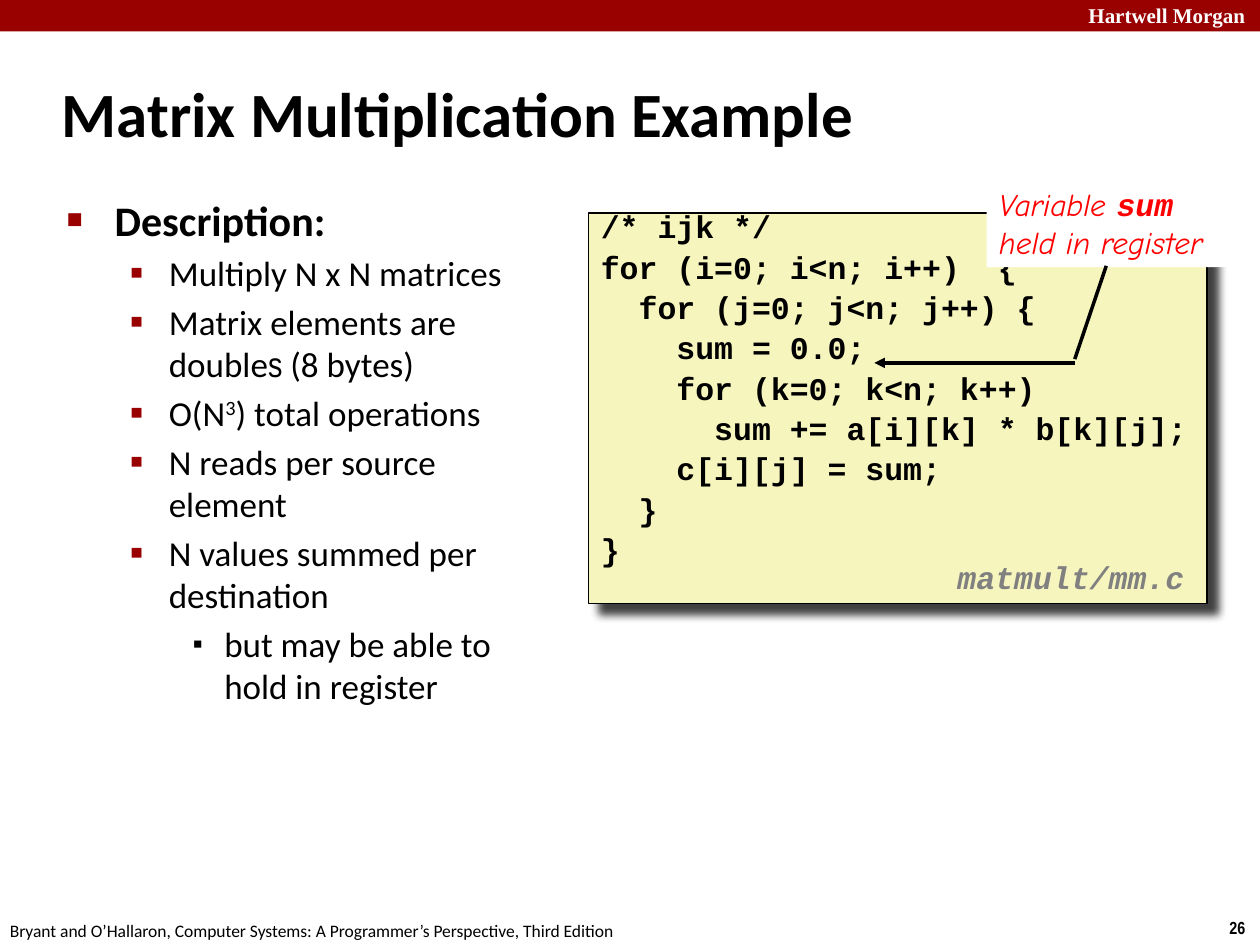
from dataclasses import dataclass, replace
from typing import Optional

from lxml.etree import SubElement
from pptx import Presentation
from pptx.dml.color import RGBColor
from pptx.enum.shapes import MSO_CONNECTOR as Connector, MSO_SHAPE as Preset
from pptx.enum.text import MSO_ANCHOR as Anchor, MSO_AUTO_SIZE as AutoSize, PP_ALIGN as Align
from pptx.oxml.ns import qn
from pptx.util import Inches, Pt

COLUMNS, ROWS = 100, 75
WIDTH, HEIGHT = Inches(10), Inches(7.5)
CRIMSON, BLACK, WHITE = "990000", "000000", "FFFFFF"


@dataclass(frozen=True)
class Area:
    column: float
    row: float
    columns: float
    rows: float

    def emu(self) -> tuple:
        return x(self.column), y(self.row), x(self.columns), y(self.rows)


@dataclass(frozen=True)
class Style:
    face: str
    size: float
    color: str = BLACK
    bold: bool = False
    italic: bool = False


@dataclass(frozen=True)
class Level:
    margin: float
    hanging: float
    glyph: str
    percent: int
    style: Style
    bullet_color: Optional[str] = CRIMSON


@dataclass(frozen=True)
class Part:
    text: str
    face: Optional[str] = None
    baseline: int = 0


def x(columns: float) -> int:
    return round(WIDTH * columns / COLUMNS)


def y(rows: float) -> int:
    return round(HEIGHT * rows / ROWS)


def paint(color_format, color: str) -> None:
    color_format.rgb = RGBColor.from_string(color)


def apply_style(font, style: Style) -> None:
    font.name, font.size = style.face, Pt(style.size)
    font.bold, font.italic = style.bold, style.italic
    paint(font.color, style.color)


def place(holder, area: Area) -> None:
    holder.left, holder.top, holder.width, holder.height = area.emu()
    holder.text_frame.auto_size = AutoSize.NONE


def add_label(slide, area: Area, text: str, style: Style):
    label = slide.shapes.add_textbox(*area.emu())
    label.text_frame.word_wrap = False
    paragraph = label.text_frame.paragraphs[0]
    paragraph.text = text
    apply_style(paragraph.font, style)
    return paragraph


def add_panel(slide, area: Area, fill: str):
    panel = slide.shapes.add_shape(Preset.RECTANGLE, *area.emu())
    panel.shadow.inherit = False
    panel.fill.solid()
    paint(panel.fill.fore_color, fill)
    panel.line.fill.background()
    panel.text_frame.vertical_anchor = Anchor.TOP
    return panel


def add_shadow(panel) -> None:
    effects = panel._element.spPr.find(qn("a:effectLst"))
    shadow = SubElement(effects, qn("a:outerShdw"), blurRad=str(Pt(5)),
                        dist=str(Pt(8.5)), dir="2700000", algn="tl", rotWithShape="0")
    color = SubElement(shadow, qn("a:srgbClr"), val=BLACK)
    SubElement(color, qn("a:alpha"), val="75000")


def add_pointer(slide, start: tuple, end: tuple, arrow: bool = False) -> None:
    pointer = slide.shapes.add_connector(
        Connector.STRAIGHT, x(start[0]), y(start[1]), x(end[0]), y(end[1]))
    pointer.line.width = Pt(2)
    paint(pointer.line.color, BLACK)
    if arrow:
        SubElement(pointer.line._get_or_add_ln(), qn("a:tailEnd"), type="triangle")
    SubElement(pointer._element.spPr, qn("a:effectLst"))


def add_bullet(paragraph, level: Level) -> None:
    paragraph.space_before = Pt(level.style.size * 0.2)
    properties = paragraph._p.get_or_add_pPr()
    properties.set("marL", str(Inches(level.margin)))
    properties.set("indent", str(-Inches(level.hanging)))
    if level.bullet_color:
        color = SubElement(properties, qn("a:buClr"))
        SubElement(color, qn("a:srgbClr"), val=level.bullet_color)
    SubElement(properties, qn("a:buSzPct"), val=str(level.percent * 1000))
    SubElement(properties, qn("a:buFont"), typeface=level.style.face)
    SubElement(properties, qn("a:buChar"), char=level.glyph)


def next_paragraph(frame, index: int):
    return frame.add_paragraph() if index else frame.paragraphs[0]


def fill_outline(frame, outline: list, levels: list) -> None:
    for index, (depth, parts) in enumerate(outline):
        paragraph, level = next_paragraph(frame, index), levels[depth]
        paragraph.level = depth
        add_bullet(paragraph, level)
        apply_style(paragraph.font, level.style)
        for part in parts:
            run = paragraph.add_run()
            run.text = part.text
            if part.face:
                run.font.name = part.face
            if part.baseline:
                run._r.get_or_add_rPr().set("baseline", str(part.baseline * 1000))


def fill_code(frame, code: str, style: Style) -> None:
    for index, line in enumerate(code.splitlines()):
        paragraph = next_paragraph(frame, index)
        paragraph.text = line
        paragraph.alignment = Align.LEFT
        paragraph.line_spacing, paragraph.space_before = 0.65, Pt(9)
        apply_style(paragraph.font, style)


def fill_remark(frame, lines: list) -> None:
    frame.word_wrap = False
    for index, pieces in enumerate(lines):
        paragraph = next_paragraph(frame, index)
        paragraph.alignment = Align.LEFT
        for text, style in pieces:
            run = paragraph.add_run()
            run.text = text
            apply_style(run.font, style)


CODE = """/* ijk */
for (i=0; i<n; i++)  {
  for (j=0; j<n; j++) {
    sum = 0.0;
    for (k=0; k<n; k++)
      sum += a[i][k] * b[k][j];
    c[i][j] = sum;
  }
}"""

HEADING = Style("Calibri", 24, bold=True)
DETAIL = Style("Calibri", 20)
CODE_STYLE = Style("Courier New", 18, bold=True)
REMARK = Style("Comic Neue", 18, "FF0000", italic=True)
REMARK_CODE = replace(REMARK, face="Courier New", bold=True)

LEVELS = [
    Level(0.38, 0.38, "■", 40, HEADING),
    Level(0.81, 0.31, "▪", 110, DETAIL),
    Level(1.25, 0.25, "▪", 80, DETAIL, None),
]
DESCRIPTION = [
    (0, [Part("Description:")]),
    (1, [Part("Multiply N x N matrices")]),
    (1, [Part("Matrix elements are double"), Part("s", face="Arial Narrow"), Part(" (8 bytes)")]),
    (1, [Part("O(N"), Part("3", baseline=30), Part(") total operations")]),
    (1, [Part("N reads per source element")]),
    (1, [Part("N values summed per destination")]),
    (2, [Part("but may be able to hold in register")]),
]


def main() -> None:
    deck = Presentation()
    deck.slide_width, deck.slide_height = WIDTH, HEIGHT
    slide = deck.slides.add_slide(deck.slide_layouts[1])
    title, body = slide.placeholders

    add_panel(slide, Area(0, 0, COLUMNS, 2.5), CRIMSON)
    add_label(slide, Area(85.4, -0.3, 14.5, 3), "Hartwell Morgan",
              Style("Times New Roman", 12, WHITE, bold=True))
    add_label(slide, Area(96.6, 72.3, 3.4, 2.7), "26", Style("Arial Narrow", 10, bold=True))
    add_label(slide, Area(-0.2, 72.5, 50.8, 2.7),
              "Bryant and O’Hallaron, Computer Systems: A Programmer’s Perspective, Third Edition",
              Style("Calibri", 10))

    place(title, Area(3.9, 4.8, 83, 8.3))
    title.text_frame.vertical_anchor = Anchor.MIDDLE
    heading = title.text_frame.paragraphs[0]
    heading.text, heading.alignment = "Matrix Multiplication Example", Align.LEFT
    apply_style(heading.font, Style("Calibri", 36, bold=True))

    place(body, Area(4.3, 14.9, 39.8, 54.4))
    fill_outline(body.text_frame, DESCRIPTION, LEVELS)

    listing = add_panel(slide, Area(46.7, 16.9, 49.1, 31), "F6F5BD")
    paint(listing.line.color, BLACK)
    listing.line.width = Pt(1)
    add_shadow(listing)
    fill_code(listing.text_frame, CODE, CODE_STYLE)

    remark = add_panel(slide, Area(78.3, 14.2, 20.5, 7), WHITE)
    fill_remark(remark.text_frame, [[("Variable ", REMARK), ("sum", REMARK_CODE)],
                                    [("held in register", REMARK)]])
    add_pointer(slide, (85.3, 28.8), (69.4, 28.8), arrow=True)
    add_pointer(slide, (87.8, 21.1), (85.3, 28.5))

    file_name = add_label(slide, Area(75, 44, 20.8, 3.9), "matmult/mm.c",
                          replace(CODE_STYLE, color="808080", italic=True))
    file_name.line_spacing = 0.94
    deck.save("out.pptx")


if __name__ == "__main__":
    main()
